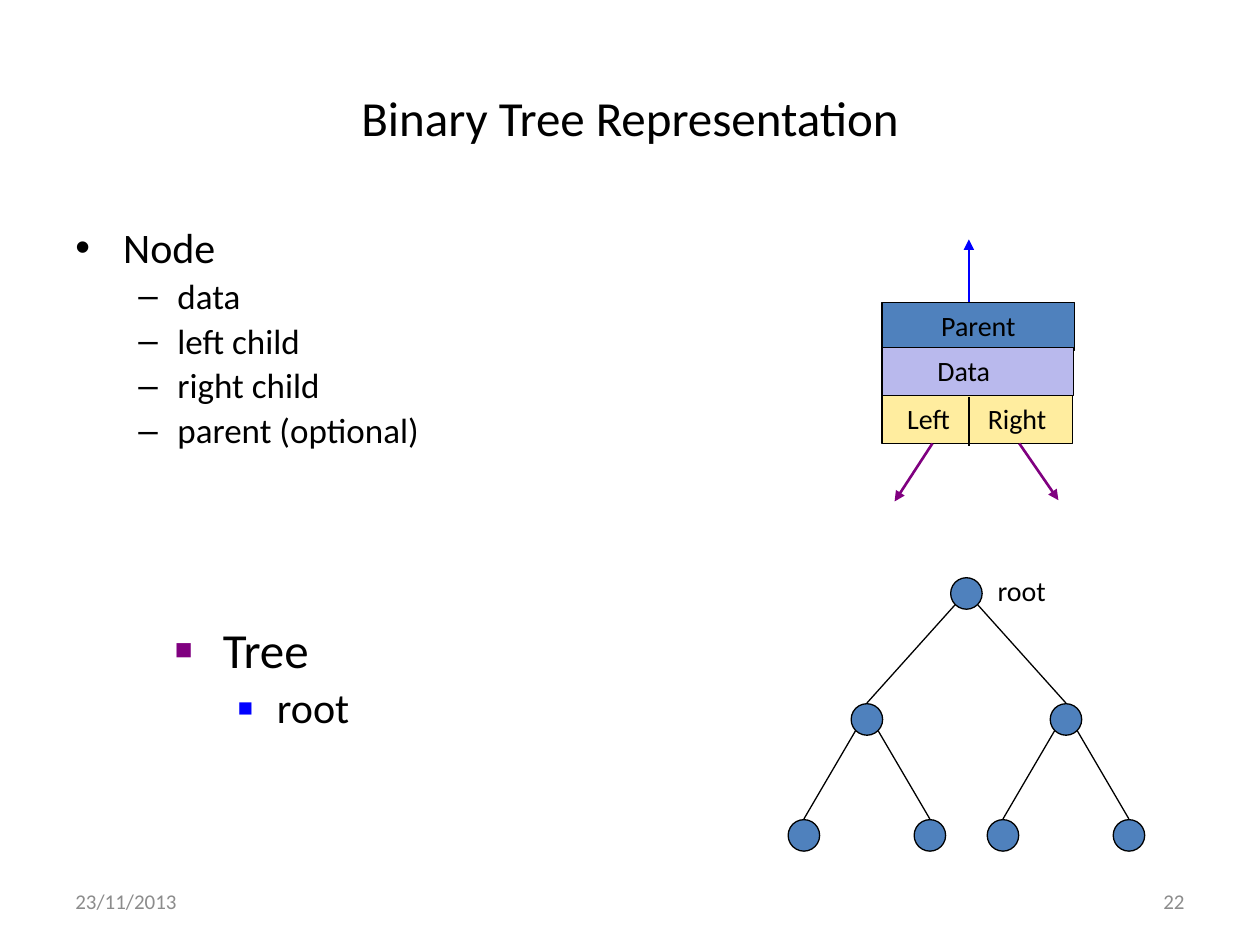
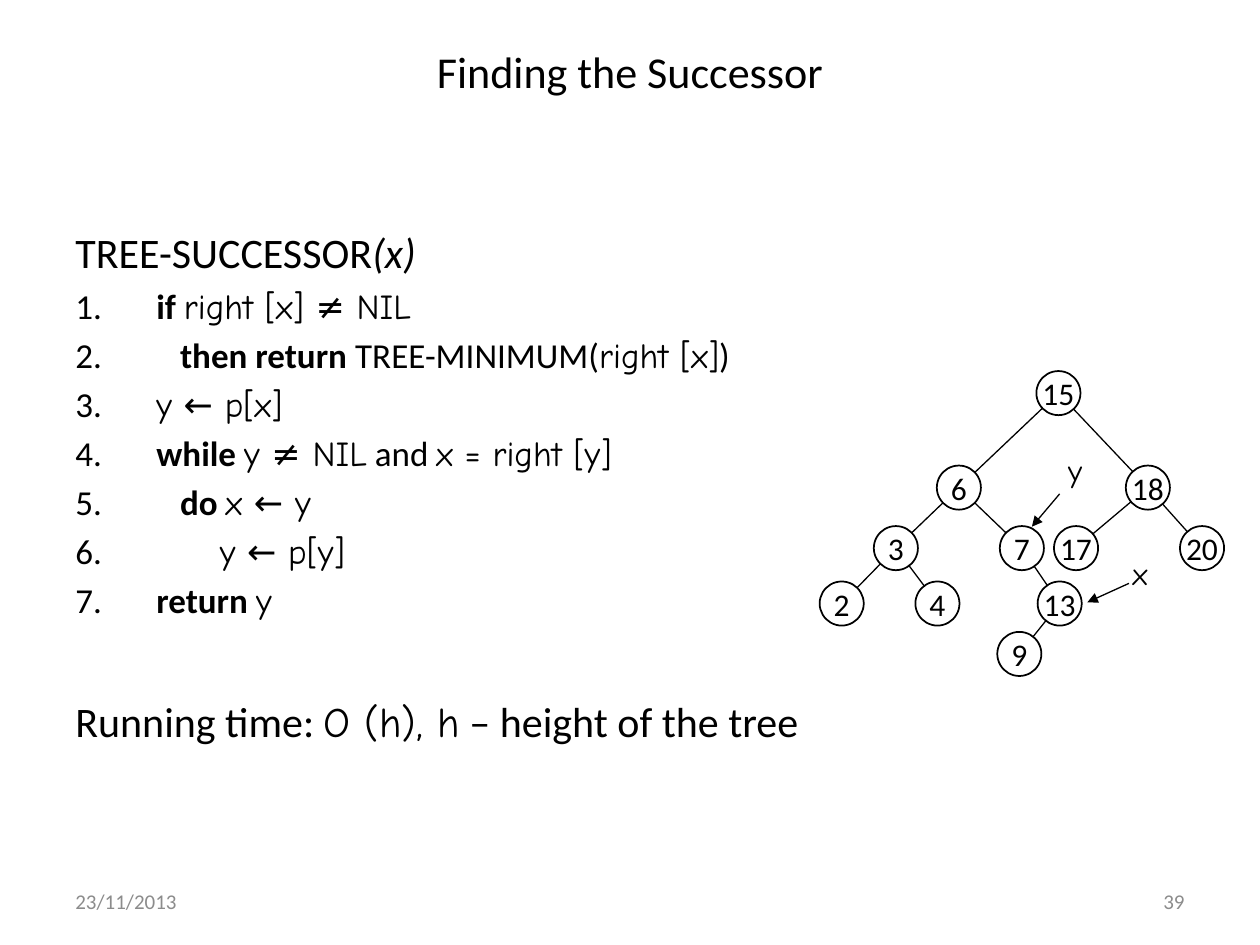
from lxml import etree
from pptx import Presentation
from pptx.dml.color import RGBColor
from pptx.enum.shapes import MSO_CONNECTOR, MSO_SHAPE
from pptx.enum.text import MSO_ANCHOR, PP_ALIGN
from pptx.oxml.ns import qn
from pptx.util import Inches, Pt

LINE = MSO_CONNECTOR.STRAIGHT
RECT, OVAL = MSO_SHAPE.RECTANGLE, MSO_SHAPE.OVAL
TOP, MID = MSO_ANCHOR.TOP, MSO_ANCHOR.MIDDLE
LEFT, MIDST, RIGHT = PP_ALIGN.LEFT, PP_ALIGN.CENTER, PP_ALIGN.RIGHT

BLACK = RGBColor(0, 0, 0)
WHITE = RGBColor(255, 255, 255)
GRAY = RGBColor(0x8C, 0x8C, 0x8C)
STEEL = RGBColor(0x4F, 0x81, 0xBD)
LILAC = RGBColor(0xB9, 0xB9, 0xED)
CREAM = RGBColor(0xFF, 0xED, 0x9F)
BLUE = RGBColor(0, 0, 255)
PLUM = RGBColor(0x80, 0, 0x80)
SANS, HAND = "Calibri", "Comic Neue"

CODE = [
    [(" ", ""), ("if ", "b"), ("right [x] ≠ NIL", "h")],
    [("    ", ""), ("then return ", "b"), ("TREE-MINIMUM(", ""),
     ("right [x]", "h"), (")", "")],
    [(" ", ""), ("y ← p[x]", "h")],
    [(" ", ""), ("while ", "b"), ("y ≠ NIL", "h"), (" and ", ""),
     ("x = right [y]", "h")],
    [("    ", ""), ("do ", "b"), ("x ← y", "h")],
    [("         ", ""), ("y ← p[y]", "h")],
    [(" ", ""), ("return ", "b"), ("y", "h")],
]

KEYS = {
    15: (1.9, 0.18, None), 6: (1.11, 0.93, 15), 18: (2.61, 0.93, 15),
    3: (0.61, 1.41, 6), 7: (1.61, 1.41, 6), 17: (2.04, 1.41, 18),
    20: (3.04, 1.41, 18), 2: (0.18, 1.85, 3), 4: (0.94, 1.85, 3),
    13: (1.91, 1.85, 7), 9: (1.59, 2.25, 13),
}


def add_tag(parent, name, **attrs):
    tag = etree.SubElement(parent, qn(name))
    for key, value in attrs.items():
        tag.set(key, str(value))
    return tag


def set_mark(props, mark, tint, scale):
    if tint:
        add_tag(add_tag(props, "a:buClr"), "a:srgbClr", val=tint)
    if scale:
        add_tag(props, "a:buSzPct", val=scale * 1000)
    if mark == "1.":
        add_tag(props, "a:buAutoNum", type="arabicPeriod")
    else:
        add_tag(props, "a:buFont", typeface="Arial")
        add_tag(props, "a:buChar", char=mark)


def write(frame, text, size=16, color=BLACK, font=SANS, align=LEFT, mark=None,
          tint=None, scale=None, indent=None, level=0, gap=0, pitch=None, tab=None):
    para = frame.add_paragraph() if frame.text else frame.paragraphs[0]
    props = para._p.get_or_add_pPr()
    if indent:
        left, hang = indent
        props.set("marL", str(Inches(left)))
        props.set("indent", str(-Inches(hang)))
    if mark:
        set_mark(props, mark, tint, scale)
    if tab:
        add_tag(add_tag(props, "a:tabLst"), "a:tab", pos=Inches(tab), algn="l")
    para.level = level
    para.alignment = align
    if pitch:
        para.line_spacing = pitch
    if gap:
        para.space_before = Pt(gap)
    for words, style in [(text, "")] if isinstance(text, str) else text:
        run = para.add_run()
        run.text = words
        run.font.size = Pt(size)
        run.font.name = HAND if style == "h" else font
        run.font.bold = style == "b"
        run.font.italic = style == "i"
        run.font.color.rgb = color


def add_box(slide, x, y, w, h, anchor=TOP, wrap=True):
    box = slide.shapes.add_textbox(Inches(x), Inches(y), Inches(w), Inches(h))
    frame = box.text_frame
    frame.word_wrap = wrap
    frame.vertical_anchor = anchor
    return frame


def add_form(slide, kind, x, y, w, h, fill, width=0.75):
    form = slide.shapes.add_shape(kind, Inches(x), Inches(y), Inches(w), Inches(h))
    form.shadow.inherit = False
    form.fill.solid()
    form.fill.fore_color.rgb = fill
    form.line.color.rgb = BLACK
    form.line.width = Pt(width)
    return form.text_frame


def add_disc(slide, x, y, size, fill, width=0.75):
    return add_form(slide, OVAL, x - size / 2, y - size / 2, size, size, fill, width)


def add_line(slide, x1, y1, x2, y2, color=BLACK, width=0.75, arrow=False):
    line = slide.shapes.add_connector(LINE, Inches(x1), Inches(y1), Inches(x2), Inches(y2))
    line.line.color.rgb = color
    line.line.width = Pt(width)
    if arrow:
        add_tag(line.line._ln, "a:tailEnd", type="triangle")
    add_tag(line._element.spPr, "a:effectLst")


def add_page(deck, title, number, height, size):
    slide = deck.slides.add_slide(deck.slide_layouts[5])
    for x, text, align in ((0.5, "23/11/2013", LEFT), (7.17, number, RIGHT)):
        frame = add_box(slide, x, 6.95, 2.33, 0.4, MID)
        write(frame, text, size=12, color=GRAY, align=align)
    head = slide.shapes.title
    head.left, head.top = Inches(0.5), Inches(0.3)
    head.width, head.height = Inches(9), Inches(height)
    head.text_frame.vertical_anchor = MID
    write(head.text_frame, title, size=size, align=MIDST)
    return slide


def add_list(slide, x, y, w, h, head, items, size, marks, tints=(None, None), scale=None):
    frame = add_box(slide, x, y, w, h)
    write(frame, head, size=size, mark=marks[0], tint=tints[0], scale=scale,
          indent=(0.38, 0.38), pitch=0.9)
    small = size - 4
    for item in items:
        write(frame, item, size=small, mark=marks[1], tint=tints[1], scale=scale,
              indent=(0.81, 0.31), level=1, gap=small * 0.2, pitch=0.9)


def add_node(slide, x, y):
    top = add_form(slide, RECT, x, y, 1.53, 0.38, STEEL)
    mid = add_form(slide, RECT, x, y + 0.36, 1.52, 0.38, LILAC)
    low = add_form(slide, RECT, x, y + 0.74, 1.51, 0.38, CREAM)
    for frame in (top, mid, low):
        frame.vertical_anchor = TOP
    write(top, "Parent", align=MIDST)
    mid.margin_right = Inches(0.32)
    write(mid, "Data", align=MIDST)
    low.margin_left = Inches(0.2)
    write(low, "Left\tRight", tab=0.64)
    add_line(slide, x + 0.69, y + 0.75, x + 0.69, y + 1.14)
    for x1, y1, x2, y2, color in ((0.69, 0, 0.69, -0.5, BLUE),
                                  (0.4, 1.12, 0.1, 1.58, PLUM),
                                  (1.09, 1.12, 1.4, 1.57, PLUM)):
        add_line(slide, x + x1, y + y1, x + x2, y + y2, color, 1.5, True)


def add_tree(slide, x, y):
    spots = [(1.42, 0.13), (0.63, 1.13), (2.21, 1.13)]
    spots += [(px + side, 2.05) for px, _ in spots[1:] for side in (-0.5, 0.5)]
    for rank, (cx, cy) in enumerate(spots):
        add_disc(slide, x + cx, y + cy, 0.25, STEEL)
        if rank:
            px, py = spots[(rank - 1) // 2]
            side = 0.09 if cx > px else -0.09
            add_line(slide, x + px + side, y + py + 0.09, x + cx, y + cy - 0.13)
    write(add_box(slide, x + 1.57, y - 0.08, 0.59, 0.37, wrap=False), "root")


def add_code(slide, x, y):
    frame = add_box(slide, x, y, 9, 4.95)
    hang = (0.58, 0.58)
    write(frame, [("TREE-SUCCESSOR", ""), ("(x)", "i")], size=24, indent=hang)
    for line in CODE:
        write(frame, line, size=20, mark="1.", indent=hang, gap=4)
    write(frame, [("Running time: ", ""), ("O (h), h", "h"), (" – height of the tree", "")],
          size=24, indent=hang, gap=43)


def add_keys(slide, x, y):
    for cx, cy, up in KEYS.values():
        if up:
            px, py, _ = KEYS[up]
            add_line(slide, x + cx, y + cy, x + px, y + py)
    for key, (cx, cy, _) in KEYS.items():
        frame = add_disc(slide, x + cx, y + cy, 0.35, WHITE, 1)
        frame.word_wrap = False
        frame.vertical_anchor = MID
        write(frame, str(key), size=18, align=MIDST)
    for name, bx, by, x1, y1, x2, y2 in (
            ("y", 1.88, 0.59, 1.91, 0.98, 1.69, 1.24),
            ("x", 2.39, 1.41, 2.46, 1.69, 2.13, 1.84)):
        add_line(slide, x + x1, y + y1, x + x2, y + y2, arrow=True)
        write(add_box(slide, x + bx, y + by, 0.33, 0.4), name, size=18, font=HAND)


def main():
    deck = Presentation()
    deck.slide_width, deck.slide_height = Inches(10), Inches(7.5)

    slide = add_page(deck, "Binary Tree Representation", "22", 1.25, 28)
    add_list(slide, 0.5, 1.75, 4.16, 3.02, "Node",
             ["data", "left child", "right child", "parent (optional)"], 24, "•–")
    add_node(slide, 7, 2.4)
    add_list(slide, 1.29, 4.92, 3.93, 1.33, "Tree", ["root"], 28, "■■", (PLUM, BLUE), 60)
    add_tree(slide, 6.25, 4.58)

    slide = add_page(deck, "Finding the Successor", "39", 0.53, 25.2)
    add_code(slide, 0.5, 1.75)
    add_keys(slide, 6.5, 2.94)

    deck.save("out.pptx")


if __name__ == "__main__":
    main()
